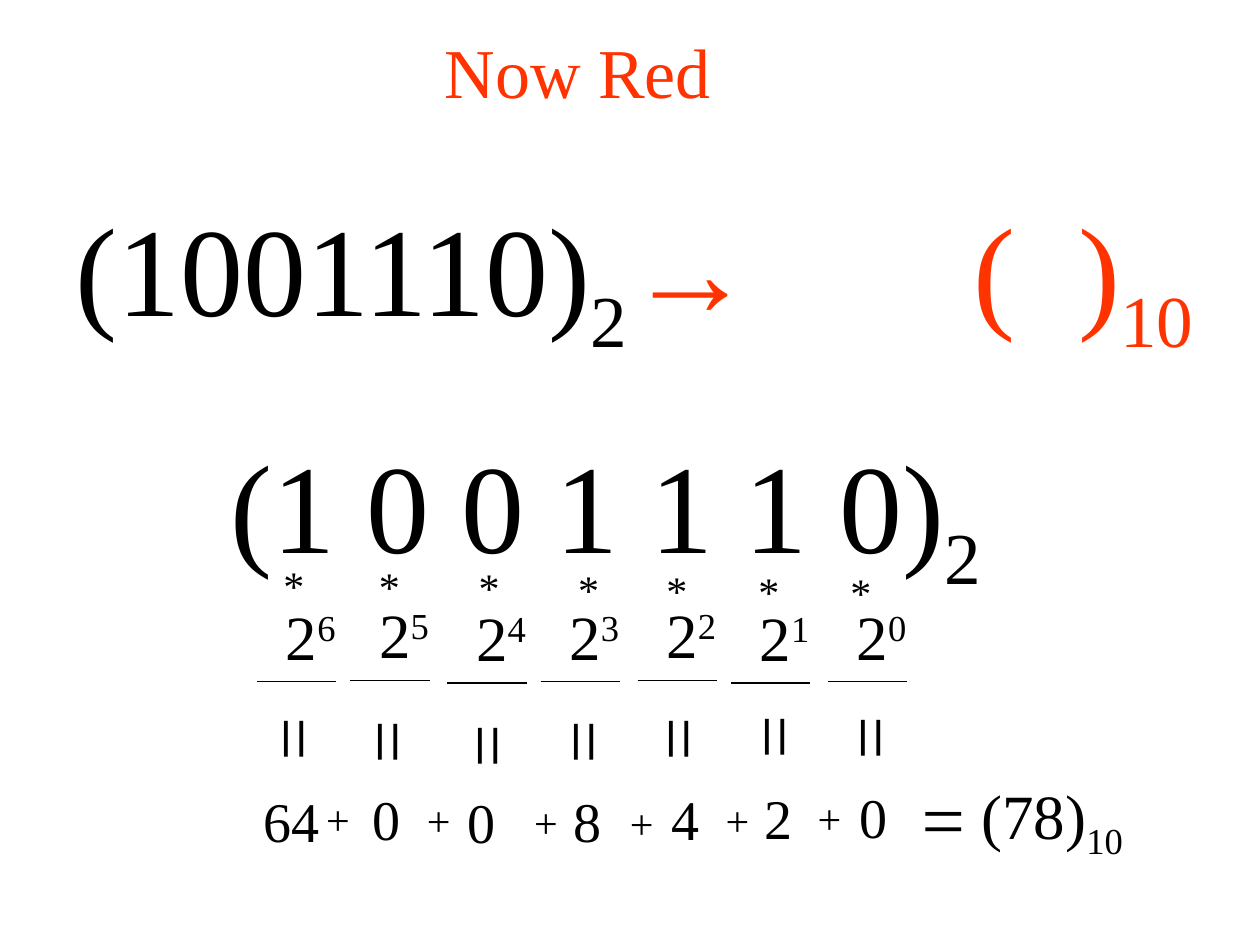
from lxml import etree
from pptx import Presentation
from pptx.dml.color import RGBColor
from pptx.enum.shapes import MSO_CONNECTOR
from pptx.enum.text import MSO_ANCHOR, MSO_AUTO_SIZE, PP_ALIGN
from pptx.oxml.ns import qn
from pptx.util import Inches, Pt

STRAIGHT = MSO_CONNECTOR.STRAIGHT
TOP, LEFT = MSO_ANCHOR.TOP, PP_ALIGN.LEFT
FIT_SHAPE = MSO_AUTO_SIZE.SHAPE_TO_FIT_TEXT

SERIF, SANS = "Times New Roman", "Arial"
BLACK, RED = "000000", "FF3300"
SUB, SUPER = -25, 30

BITS = "1001110"
POWERS = range(len(BITS) - 1, -1, -1)
TERMS = [int(bit) * 2 ** power for bit, power in zip(BITS, POWERS)]
COLUMN = 0.76


def colour(value):
    return RGBColor.from_string(value)


def span(text, **changes):
    return {"text": text, "font": SERIF, "colour": BLACK, "base": 0, **changes}


def write(shape, spans, size, wrap=False, tabs=()):
    """Fill a shape with one left-aligned paragraph of formatted spans."""
    frame = shape.text_frame
    settings = {"word_wrap": wrap, "auto_size": FIT_SHAPE, "vertical_anchor": TOP}
    for name, value in settings.items():
        setattr(frame, name, value)
    para = frame.paragraphs[0]
    para.alignment = LEFT
    if tabs:
        stops = etree.SubElement(para._p.get_or_add_pPr(), qn("a:tabLst"))
        for stop in tabs:
            etree.SubElement(stops, qn("a:tab"), pos=str(Inches(stop)), algn="l")
    for part in spans:
        run = para.add_run()
        run.text = part["text"]
        for name, value in {"name": part["font"], "size": Pt(size)}.items():
            setattr(run.font, name, value)
        run.font.color.rgb = colour(part["colour"])
        if part["base"]:
            run.font._element.set("baseline", str(part["base"] * 1000))


def add_text(shapes, box, spans, size, rotation=0, **options):
    shape = shapes.add_textbox(*map(Inches, box))
    shape.rotation = rotation
    write(shape, spans, size, **options)


def add_title(page, box):
    title = page.shapes.title
    for name, value in zip(("left", "top", "width", "height"), box):
        setattr(title, name, Inches(value))
    write(title, [span("Now Red", colour=RED)], 40)


def add_question(page, box):
    spans = [
        span(f"({BITS})"),
        span("2", base=SUB),
        span("→\t", font=SANS, colour=RED),
        span("(\t)", colour=RED),
        span("10", colour=RED, base=SUB),
    ]
    add_text(page.shapes, box, spans, 72, wrap=True, tabs=(7.13, 7.96))


def add_binary_number(page, box):
    spans = [span(f"({' '.join(BITS)})"), span("2", base=SUB)]
    add_text(page.shapes, box, spans, 72)


def add_power(page, left, top, power):
    """Group a power of two with the rule beneath it."""
    group = page.shapes.add_group_shape()
    line_top = top + 0.72
    rule = group.shapes.add_connector(
        STRAIGHT, *map(Inches, (left, line_top, left + 0.63, line_top)))
    rule.line.color.rgb = colour(BLACK)
    rule.line.width = Pt(0.75)
    etree.SubElement(rule._element.spPr, qn("a:effectLst"))
    spans = [span("2"), span(str(power), base=SUPER)]
    add_text(group.shapes, (left + 0.13, top, 0.62, 0.7), spans, 36)


def cells(left, top, shifts):
    """Yield column positions, each with its own shift in hundredths of an inch."""
    for index, (across, down) in enumerate(shifts):
        yield left + index * COLUMN + across / 100, top + down / 100


def add_expansion(page, left, top):
    """Place the weighted digits, their values and the sum."""
    power_shifts = [(0, 0), (-2, -1), (-1, 1), (-3, 0), (-2, -1), (-4, 1), (-3, 0)]
    for power, place in zip(POWERS, cells(left + 0.04, top + 0.3, power_shifts)):
        add_power(page, *place, power)

    rows = [
        {"texts": "*" * len(BITS), "at": (0.15, 0), "box": (0.36, 0.5), "size": 24,
         "shifts": [(0, 0), (0, 1), (3, 2), (6, 3), (0, 4), (-3, 5), (-6, 6)]},
        {"texts": "=" * len(BITS), "at": (0.1, 1.06), "box": (0.54, 0.84), "size": 44,
         "rotation": 90,
         "shifts": [(0, 0), (-1, 2), (2, 5), (2, 2), (2, 0), (2, -2), (2, -1)]},
        {"texts": TERMS, "at": (0.1, 1.79), "box": (0.42, 0.64), "size": 32,
         "shifts": [(-11, 1), (0, 0), (-1, 2), (7, 1), (9, 0), (7, -1), (6, -2)]},
        {"texts": "+" * (len(BITS) - 1), "at": (0.49, 1.86), "box": (0.39, 0.5),
         "size": 24,
         "shifts": [(0, 0), (4, 1), (13, 2), (13, 3), (13, 1), (10, -1)]},
    ]
    for row in rows:
        across, down = row["at"]
        places = cells(left + across, top + down, row["shifts"])
        for text, place in zip(map(str, row["texts"]), places):
            width, height = row["box"]
            width += 0.25 * (len(text) - 1)
            add_text(page.shapes, (*place, width, height), [span(text)],
                     row["size"], row.get("rotation", 0))

    add_text(page.shapes, (left + 5.22, top + 1.75, 0.54, 0.84), [span("=")], 44, 180)
    total = [span(f"({sum(TERMS)})"), span("10", base=SUB)]
    add_text(page.shapes, (left + 5.69, top + 1.72, 1.32, 0.79), total, 36)


def main():
    deck = Presentation()
    deck.slide_width, deck.slide_height = Inches(10), Inches(7.5)
    page = deck.slides.add_slide(deck.slide_layouts.get_by_name("Title Only"))
    add_title(page, (3.43, 0.18, 2.35, 0.77))
    add_question(page, (0.5, 1.46, 10.74, 1.47))
    add_binary_number(page, (1.73, 3.34, 6.2, 1.47))
    add_expansion(page, 2, 4.39)
    deck.save("out.pptx")


if __name__ == "__main__":
    main()
